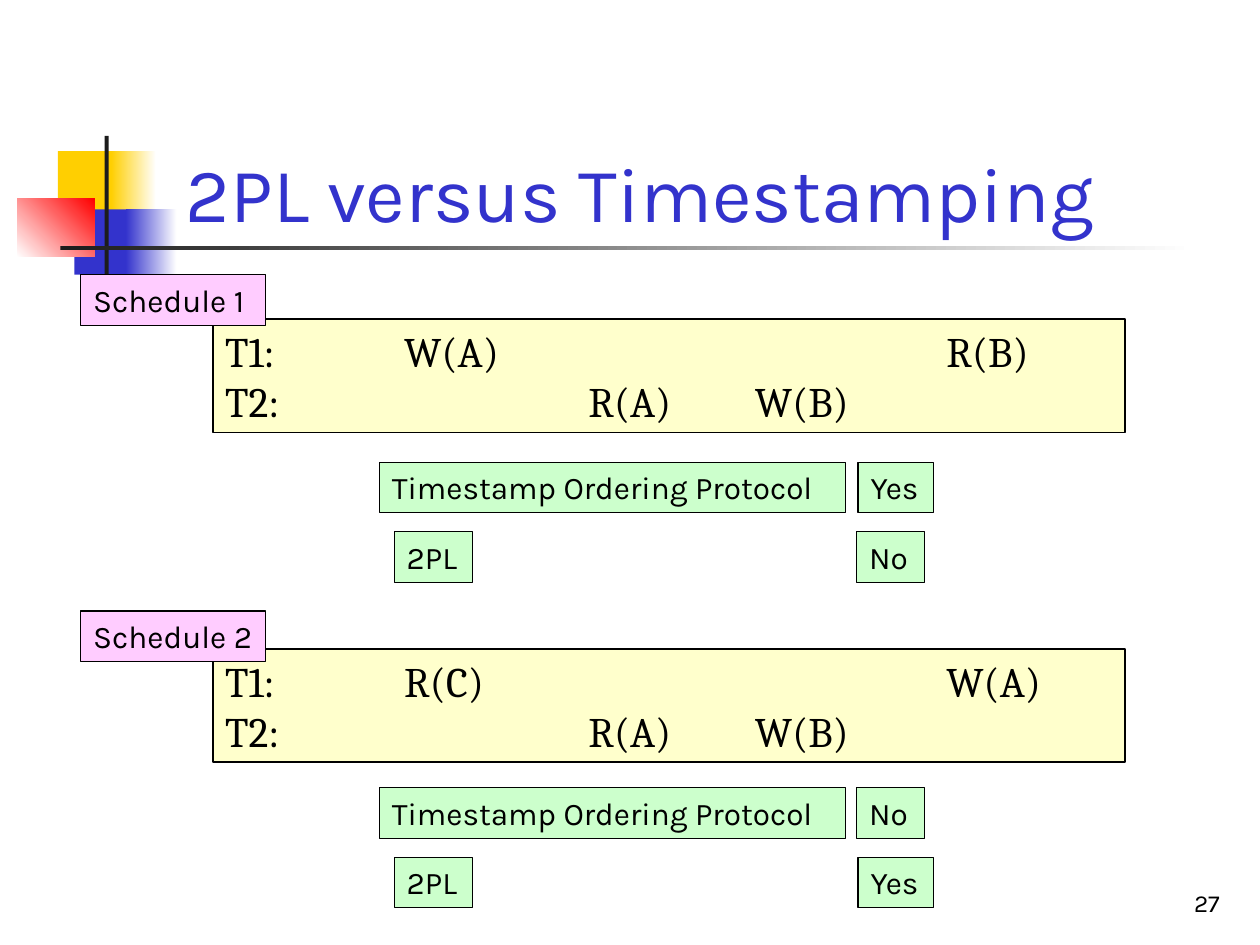
"""Build a slide that compares two-phase locking with timestamp ordering."""
from lxml.etree import SubElement
from pptx import Presentation
from pptx.dml.color import RGBColor
from pptx.enum.shapes import MSO_SHAPE
from pptx.enum.text import MSO_ANCHOR, MSO_AUTO_SIZE, PP_ALIGN
from pptx.oxml.ns import qn
from pptx.util import Cm, Pt

BLACK, WHITE, DARK = "000000", "FFFFFF", "1C1C1C"
YELLOW, BLUE, RED = "FFCF01", "3333CC", "FF0000"
CREAM, GREEN, PINK = "FFFFCC", "CCFFCC", "FFCCFF"
SANS, SERIF = "Karla", "Cambria"
T1_TABS = (3.61, 14.54)
T2_TABS = (7.32, 10.68)
ANSWERS = {"Yes": (17.3, 1.52), "No": (17.27, 1.37)}
ROW_STEP = 1.4


def color(hex_string):
    return RGBColor.from_string(hex_string)


def add_rectangle(slide, left, top, width, height):
    shape = slide.shapes.add_shape(
        MSO_SHAPE.RECTANGLE, Cm(left), Cm(top), Cm(width), Cm(height))
    shape.shadow.inherit = False
    shape.line.fill.background()
    return shape


def add_solid(slide, bounds, fill):
    shape = add_rectangle(slide, *bounds)
    shape.fill.solid()
    shape.fill.fore_color.rgb = color(fill)
    return shape


def add_gradient(slide, bounds, start, end, angle=0):
    fill = add_rectangle(slide, *bounds).fill
    fill.gradient()
    fill.gradient_angle = angle
    for stop, hex_string, position in zip(fill.gradient_stops, (start, end), (0, 1)):
        stop.color.rgb = color(hex_string)
        stop.position = position


def format_text(shape, text, size, font=SANS, hex_string=BLACK, align=PP_ALIGN.LEFT):
    text_frame = shape.text_frame
    text_frame.text = text
    for paragraph in text_frame.paragraphs:
        paragraph.alignment = align
        for run in paragraph.runs:
            run.font.size = Pt(size)
            run.font.name = font
            run.font.color.rgb = color(hex_string)


def add_text(slide, bounds, text, size, **style):
    shape = slide.shapes.add_textbox(*(Cm(length) for length in bounds))
    shape.text_frame.word_wrap = True
    shape.text_frame.vertical_anchor = MSO_ANCHOR.BOTTOM
    format_text(shape, text, size, **style)


def add_box(slide, bounds, text, fill, size=18, font=SANS, line_width=0.75, wrap=False):
    shape = add_solid(slide, bounds, fill)
    shape.line.color.rgb = color(BLACK)
    shape.line.width = Pt(line_width)
    shape.text_frame.word_wrap = wrap
    shape.text_frame.auto_size = MSO_AUTO_SIZE.SHAPE_TO_FIT_TEXT
    shape.text_frame.vertical_anchor = MSO_ANCHOR.TOP
    format_text(shape, text, size, font)
    return shape


def add_tabs(paragraph, positions):
    tab_list = SubElement(paragraph._p.get_or_add_pPr(), qn("a:tabLst"))
    for position in positions:
        SubElement(tab_list, qn("a:tab"), pos=str(Cm(position)), algn="l")


def add_operations(slide, top, first, second):
    text = "\n".join("\t".join(row) for row in (first, second))
    shape = add_box(slide, (4.29, top, 18.39, 2.29), text, CREAM,
                    size=24, font=SERIF, line_width=1, wrap=True)
    for paragraph, tabs in zip(shape.text_frame.paragraphs, (T1_TABS, T2_TABS)):
        add_tabs(paragraph, tabs)


def add_verdict(slide, top, left, width, protocol, answer):
    add_box(slide, (left, top, width, 1.02), protocol, GREEN)
    answer_left, answer_width = ANSWERS[answer]
    add_box(slide, (answer_left, top, answer_width, 1.02), answer, GREEN)


def add_schedule(slide, name, tops, first, timestamp_answer, locking_answer):
    label_top, operations_top, verdict_top = tops
    add_operations(slide, operations_top, ("T1:", *first), ("T2:", "R(A)", "W(B)"))
    add_box(slide, (1.63, label_top, 3.73, 1.02), name, PINK)
    add_verdict(slide, verdict_top, 7.65, 9.4,
                "Timestamp Ordering Protocol", timestamp_answer)
    add_verdict(slide, verdict_top + ROW_STEP, 7.95, 1.57, "2PL", locking_answer)


def add_decoration(slide):
    add_solid(slide, (1.17, 3.05, 1.22, 1.32), YELLOW)
    add_gradient(slide, (2.24, 3.05, 0.91, 1.32), YELLOW, WHITE)
    add_solid(slide, (1.5, 4.22, 1.17, 1.32), BLUE)
    add_gradient(slide, (2.54, 4.22, 1.02, 1.32), BLUE, WHITE)
    add_gradient(slide, (0.35, 4.01, 1.56, 1.17), WHITE, RED, angle=45)
    add_solid(slide, (2.11, 2.74, 0.08, 2.92), DARK)
    add_gradient(slide, (1.22, 4.95, 22.86, 0.09), DARK, WHITE)


def main():
    presentation = Presentation()
    presentation.slide_width, presentation.slide_height = Cm(25.4), Cm(19.05)
    slide = presentation.slides.add_slide(presentation.slide_layouts[6])
    add_decoration(slide)
    add_text(slide, (3.5, 1.65, 20.4, 3.28), "2PL versus Timestamping", 44,
             hex_string=BLUE)
    add_schedule(slide, "Schedule 1", (5.54, 6.43, 9.32), ("W(A)", "R(B)"), "Yes", "No")
    add_schedule(slide, "Schedule 2", (12.32, 13.08, 15.88), ("R(C)", "W(A)"), "No", "Yes")
    add_text(slide, (19.56, 17.35, 5.28, 1.27), "27", 14, align=PP_ALIGN.RIGHT)
    presentation.save("out.pptx")


if __name__ == "__main__":
    main()
